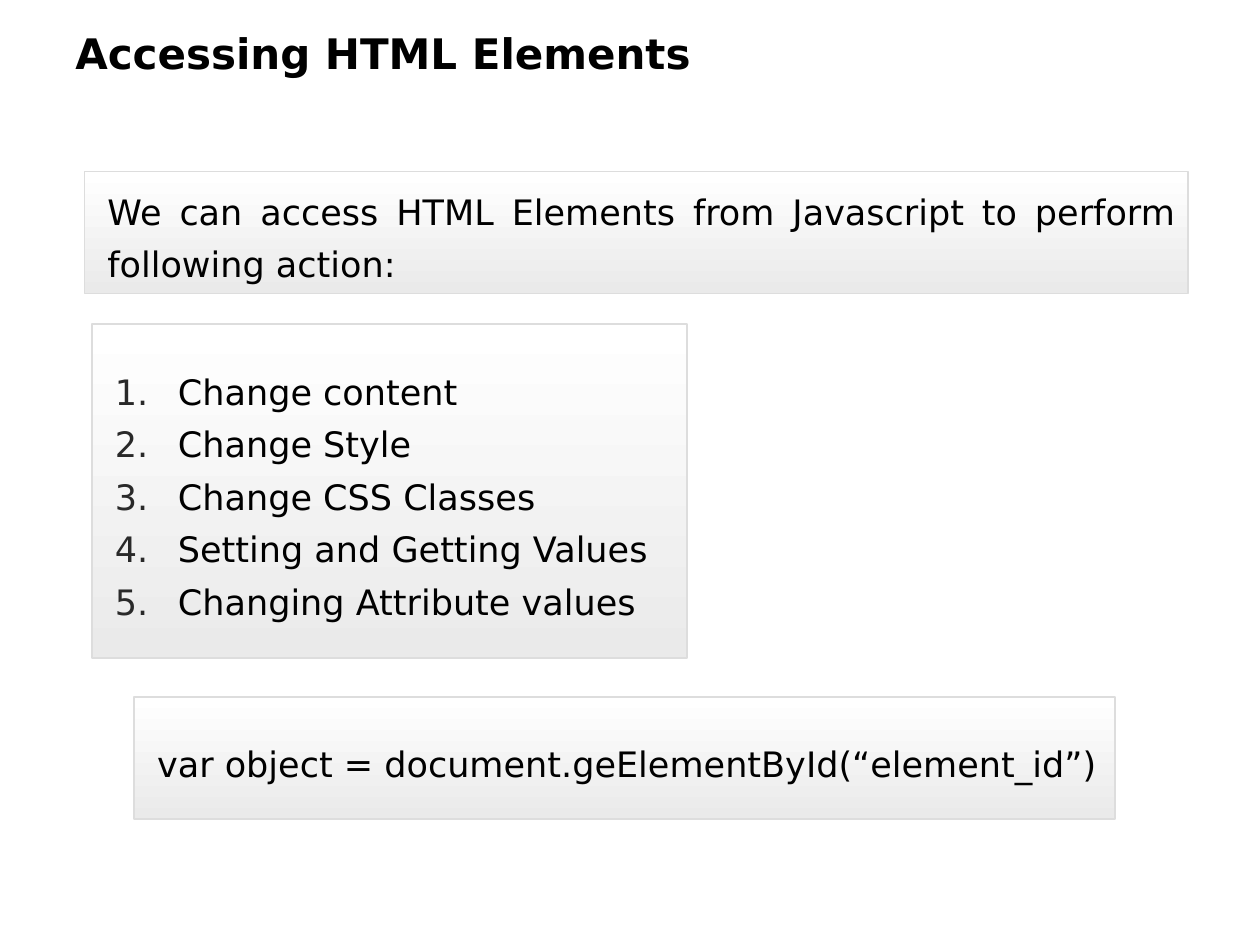
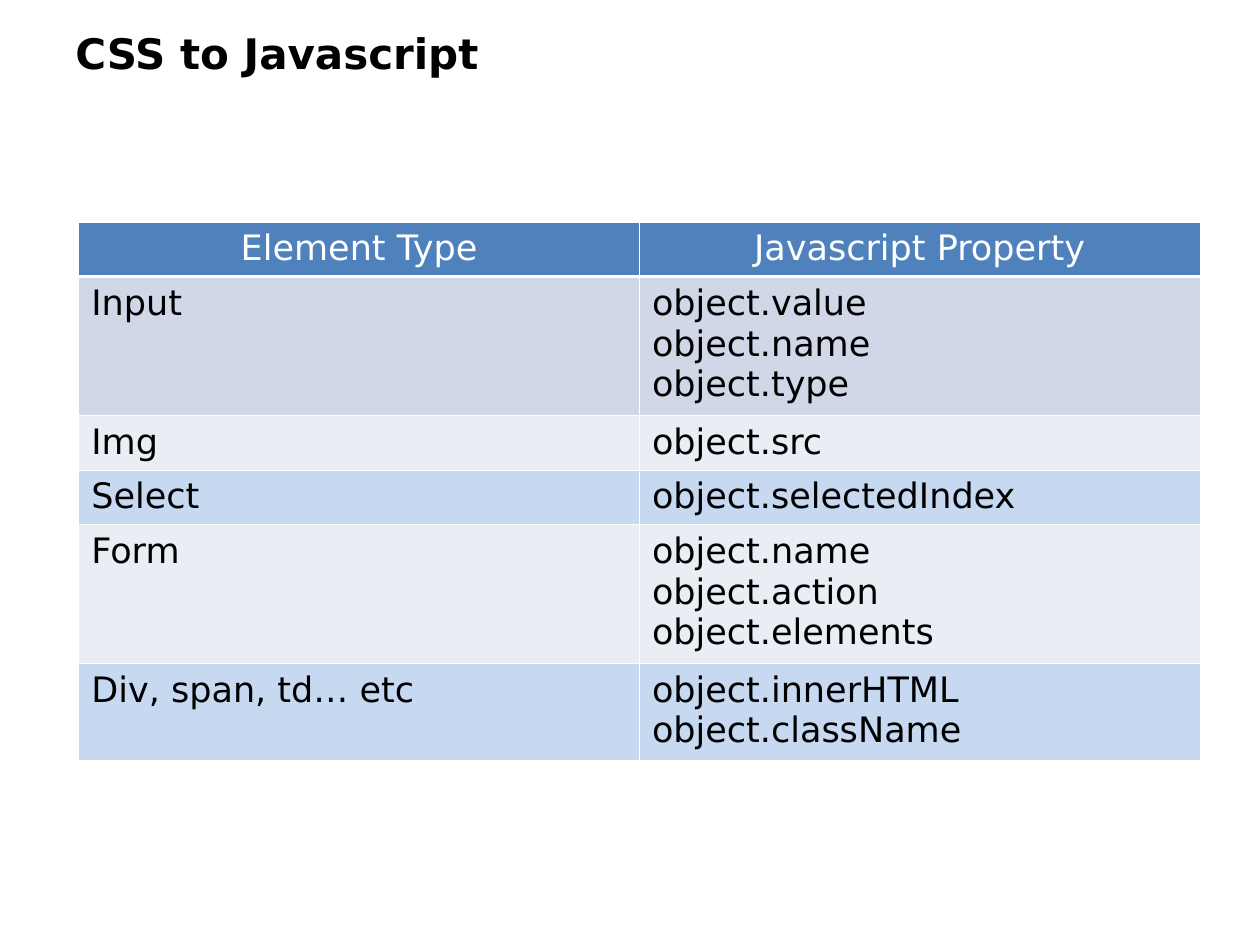
from dataclasses import dataclass

from lxml import etree
from pptx import Presentation
from pptx.dml.color import RGBColor
from pptx.enum import shapes, text
from pptx.oxml import ns
from pptx.util import Pt


@dataclass(frozen=True)
class Theme:
    face: str = "DejaVu Sans"
    title_size: float = 24
    body_size: float = 20
    line_pitch: float = 30
    ink: str = "000000"
    paper: str = "FFFFFF"
    number: str = "292929"
    panel_end: str = "EAEAEA"
    panel_edge: str = "DDDDDD"
    header: str = "4F81BD"
    first_row: str = "D0D8E8"
    pale_row: str = "E9EDF4"
    blue_row: str = "C6D9F1"
    thin_rule: float = 0.45
    header_rule: float = 1.47


def apply(target, values):
    for name, value in values.items():
        setattr(target, name, value)


def add_xml(parent, tag, **attributes):
    return etree.SubElement(parent, ns.qn(tag), attributes)


class Deck:
    def __init__(self, theme):
        self.theme = theme
        self.file = Presentation()
        apply(self.file, {"slide_width": Pt(720), "slide_height": Pt(540)})
        self.slide = None

    def new_slide(self, heading):
        self.slide = self.file.slides.add_slide(self.file.slide_layouts[6])
        title = self.slide.shapes.add_textbox(Pt(36), Pt(15.1), Pt(648), Pt(30.2))
        apply(title.text_frame, {"word_wrap": True,
                                 "vertical_anchor": text.MSO_ANCHOR.MIDDLE})
        self.add_lines(title.text_frame, [heading],
                       size=self.theme.title_size, bold=True)

    def add_lines(self, frame, lines, size=None, color=None, bold=False, **layout):
        """Put each line in its own paragraph; layout holds paragraph settings."""
        for index, line in enumerate(lines):
            paragraph = frame.paragraphs[0] if index == 0 else frame.add_paragraph()
            run = paragraph.add_run()
            run.text = line
            apply(run.font, {"name": self.theme.face, "bold": bold,
                             "size": Pt(size or self.theme.body_size)})
            run.font.color.rgb = RGBColor.from_string(color or self.theme.ink)
            apply(paragraph, layout)

    def indent(self, paragraph, numbered):
        properties = paragraph._p.get_or_add_pPr()
        properties.set("marL", str(Pt(49 if numbered else 13)))
        if numbered:
            properties.set("indent", str(Pt(-36)))
            color = add_xml(properties, "a:buClr")
            add_xml(color, "a:srgbClr", val=self.theme.number)
            add_xml(properties, "a:buAutoNum", type="arabicPeriod")

    def panel(self, left, top, width, height, lines, numbered=False):
        box = self.slide.shapes.add_shape(
            shapes.MSO_SHAPE.RECTANGLE, Pt(left), Pt(top), Pt(width), Pt(height))
        box.shadow.inherit = False
        box.fill.gradient()
        box.fill.gradient_angle = 270
        ends = (self.theme.paper, self.theme.panel_end)
        for position, (stop, color) in enumerate(zip(box.fill.gradient_stops, ends)):
            stop.color.rgb = RGBColor.from_string(color)
            stop.position = position
        box.line.color.rgb = RGBColor.from_string(self.theme.panel_edge)
        box.line.width = Pt(1)
        frame = box.text_frame
        apply(frame, {"word_wrap": True, "vertical_anchor": text.MSO_ANCHOR.MIDDLE,
                      "margin_left": 0, "margin_top": Pt(7.2),
                      "margin_right": Pt(7.2), "margin_bottom": Pt(7.2)})
        self.add_lines(frame, lines, alignment=text.PP_ALIGN.JUSTIFY,
                       line_spacing=Pt(self.theme.line_pitch))
        for paragraph in frame.paragraphs:
            self.indent(paragraph, numbered)

    def cell_borders(self, cell, row):
        thin, thick = self.theme.thin_rule, self.theme.header_rule
        widths = {"a:lnL": thin, "a:lnR": thin,
                  "a:lnT": thick if row == 1 else thin,
                  "a:lnB": thick if row == 0 else thin}
        properties = cell._tc.get_or_add_tcPr()
        for side, width in widths.items():
            rule = add_xml(properties, side, w=str(Pt(width)))
            add_xml(add_xml(rule, "a:solidFill"), "a:srgbClr", val=self.theme.paper)

    def table(self, left, top, column_width, rows):
        """Rows are (height, fill, [lines of each cell]); the first is the header."""
        columns = len(rows[0][2])
        grid = self.slide.shapes.add_table(
            len(rows), columns, Pt(left), Pt(top), Pt(column_width * columns),
            Pt(sum(height for height, _, _ in rows))).table
        grid.horz_banding = False
        for column in grid.columns:
            column.width = Pt(column_width)
        header_style = {"color": self.theme.paper, "alignment": text.PP_ALIGN.CENTER}
        for r, (height, fill, contents) in enumerate(rows):
            grid.rows[r].height = Pt(height)
            for c, lines in enumerate(contents):
                cell = grid.cell(r, c)
                self.cell_borders(cell, r)
                cell.fill.solid()
                cell.fill.fore_color.rgb = RGBColor.from_string(fill)
                self.add_lines(cell.text_frame, lines,
                               **(header_style if r == 0 else {}))


def accessing_elements(deck):
    deck.new_slide("Accessing HTML Elements")
    deck.panel(48.4, 98, 630.6, 69.8, [
        "We can access HTML Elements from Javascript to perform following action:"])
    deck.panel(52.7, 185, 340, 191, [
        "Change content", "Change Style", "Change CSS Classes",
        "Setting and Getting Values", "Changing Attribute values"], numbered=True)
    deck.panel(76.8, 398.2, 560.4, 69.8, [
        "var object = document.geElementById(“element_id”)"])


def css_to_javascript(deck):
    theme = deck.theme
    deck.new_slide("CSS to Javascript")
    one_line, two_lines, three_lines = 31.1, 55.4, 79.2
    deck.table(45, 126.8, 320.4, [
        (one_line, theme.header, [["Element Type"], ["Javascript Property"]]),
        (three_lines, theme.first_row,
         [["Input"], ["object.value", "object.name", "object.type"]]),
        (one_line, theme.pale_row, [["Img"], ["object.src"]]),
        (one_line, theme.blue_row, [["Select"], ["object.selectedIndex"]]),
        (three_lines, theme.pale_row,
         [["Form"], ["object.name", "object.action", "object.elements"]]),
        (two_lines, theme.blue_row,
         [["Div, span, td… etc"], ["object.innerHTML", "object.className"]]),
    ])


def main():
    deck = Deck(Theme())
    accessing_elements(deck)
    css_to_javascript(deck)
    deck.file.save("out.pptx")


if __name__ == "__main__":
    main()
